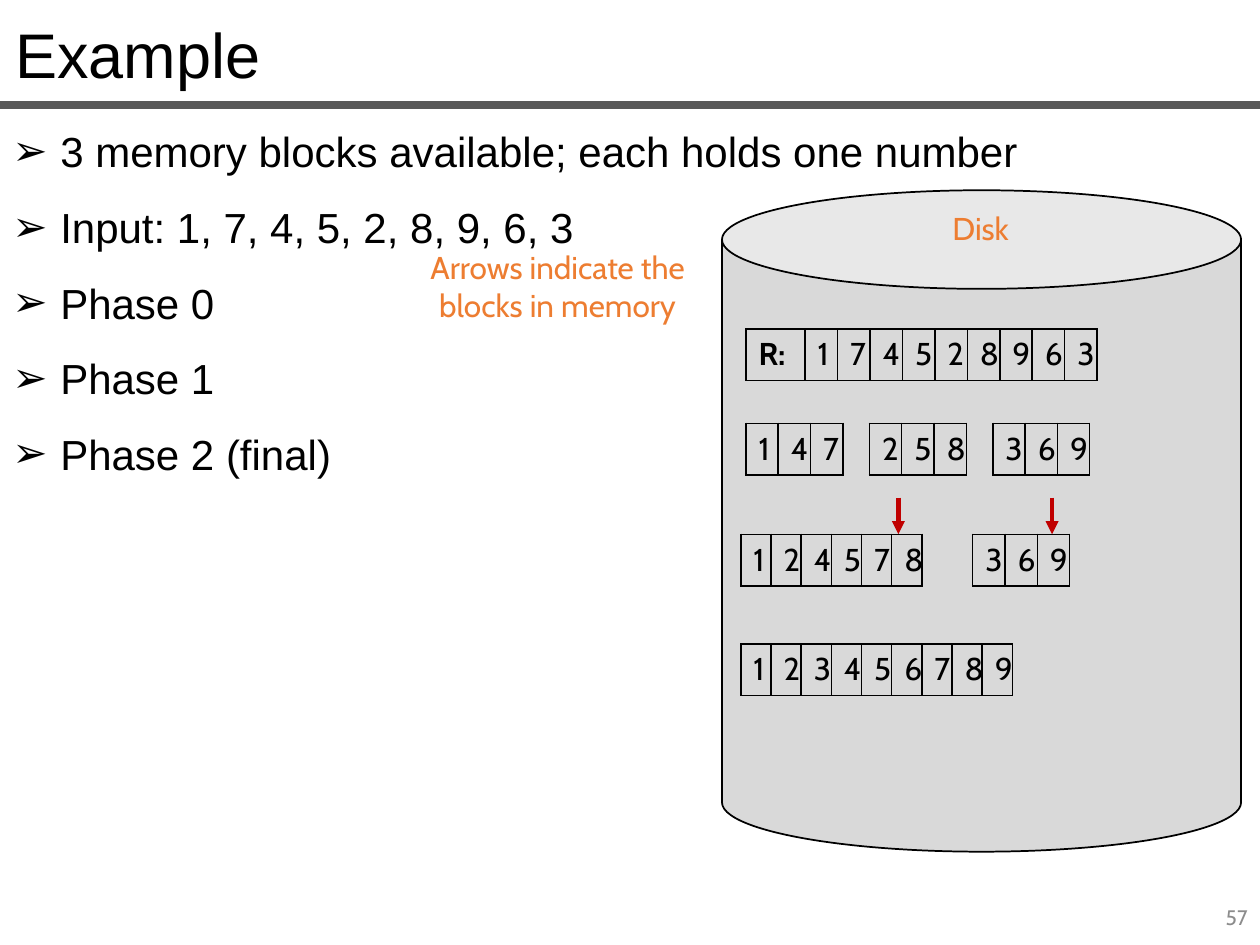
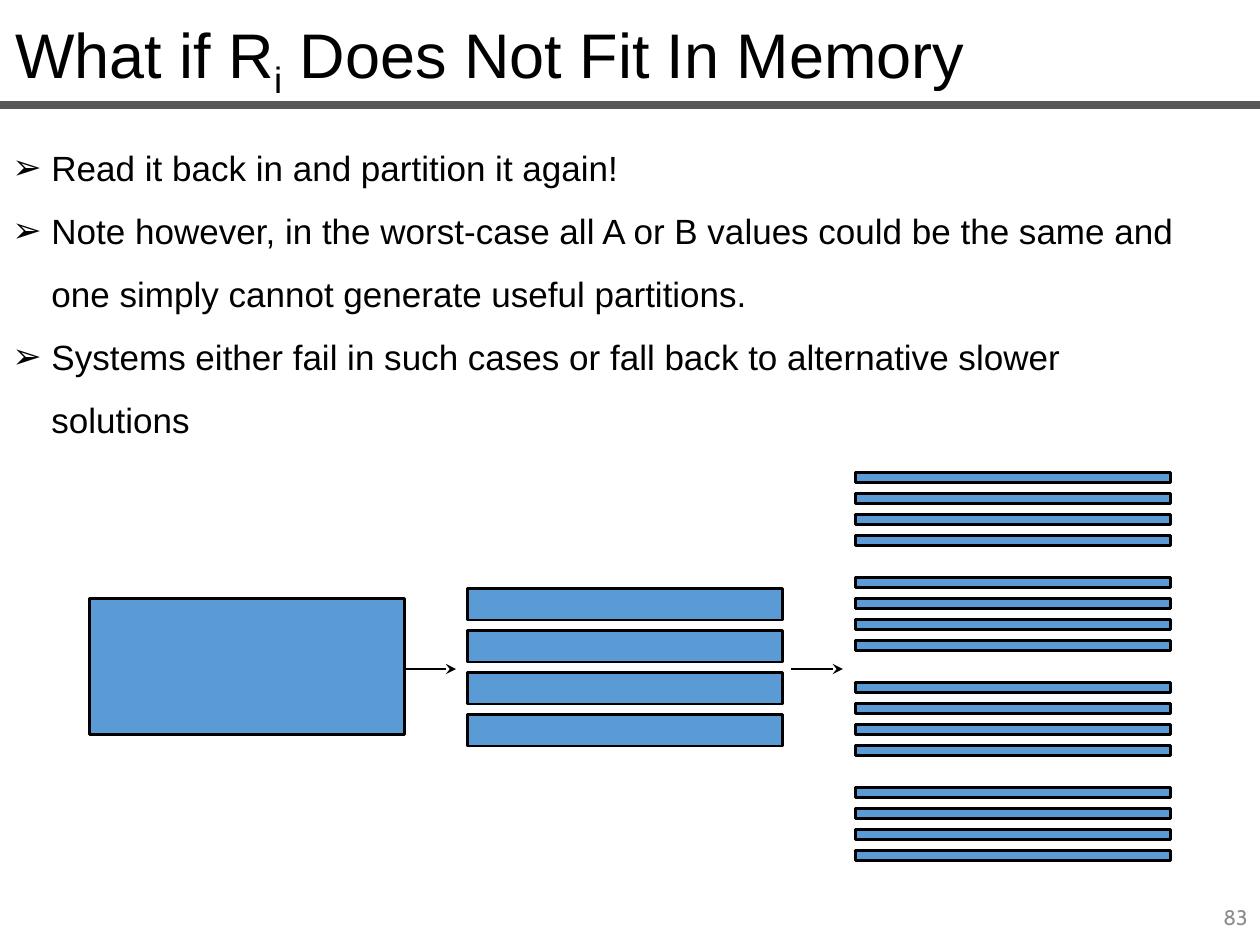
from dataclasses import dataclass
from itertools import product

from lxml.etree import SubElement
from pptx import Presentation
from pptx.dml.color import RGBColor
from pptx.enum.shapes import MSO_CONNECTOR, MSO_SHAPE
from pptx.enum.text import MSO_ANCHOR, MSO_AUTO_SIZE, PP_ALIGN
from pptx.oxml.ns import qn
from pptx.util import Inches, Pt


@dataclass(frozen=True)
class Theme:
    ink: str = "000000"
    rule: str = "595959"
    number: str = "8C8C8C"
    disk: str = "D9D9D9"
    accent: str = "ED7D31"
    pointer: str = "C00000"
    block: str = "5B9BD5"
    body_font: str = "Arial"
    label_font: str = "Cabin"
    title_size: int = 36
    label_size: int = 18
    number_size: int = 12


THEME = Theme()


# Shared formatting

def rgb(color):
    return RGBColor.from_string(color)


def style_runs(p, font, size, color, bold=False):
    for r in p.runs:
        r.font.name = font
        r.font.size = Pt(size)
        r.font.bold = bold
        r.font.color.rgb = rgb(color)


def add_text(slide, box, text, size, color, font=THEME.label_font,
             align=PP_ALIGN.LEFT, anchor=MSO_ANCHOR.TOP, wrap=True):
    sp = slide.shapes.add_textbox(*map(Inches, box))
    tf = sp.text_frame
    tf.word_wrap = wrap
    tf.vertical_anchor = anchor
    tf.text = text
    for p in tf.paragraphs:
        p.alignment = align
        style_runs(p, font, size, color)
    return tf


def add_line(shapes, start, end, color, width, head=None):
    line = shapes.add_connector(MSO_CONNECTOR.STRAIGHT, *map(Inches, start + end))
    line.line.color.rgb = rgb(color)
    line.line.width = Pt(width)
    if head:
        SubElement(line.line._get_or_add_ln(), qn("a:tailEnd"), type=head)
    SubElement(line._element.spPr, qn("a:effectLst"))


def add_shape(shapes, kind, box, fill, line_width):
    sp = shapes.add_shape(kind, *map(Inches, box))
    sp.shadow.inherit = False
    sp.fill.solid()
    sp.fill.fore_color.rgb = rgb(fill)
    sp.line.color.rgb = rgb(THEME.ink)
    sp.line.width = Pt(line_width)
    return sp


# Slide frame: title, rule below it and page number

def add_slide(prs, number, title, subscript="", title_end=""):
    slide = prs.slides.add_slide(prs.slide_layouts[5])
    sp = slide.shapes.title
    sp.left, sp.top, sp.width, sp.height = map(Inches, (0.02, 0.07, 9.89, 0.71))
    tf = sp.text_frame
    tf.auto_size = MSO_AUTO_SIZE.NONE
    tf.vertical_anchor = MSO_ANCHOR.TOP
    tf.text = title
    p = tf.paragraphs[0]
    p.alignment = PP_ALIGN.LEFT
    if subscript:
        r = p.add_run()
        r.text = subscript
        r.font._element.set("baseline", "-25000")
        p.add_run().text = title_end
    style_runs(p, THEME.body_font, THEME.title_size, THEME.ink)
    add_line(slide.shapes, (0, 0.83), (10, 0.83), THEME.rule, 4.5)
    add_text(slide, (7.75, 7.08, 2.25, 0.4), str(number), THEME.number_size,
             THEME.number, align=PP_ALIGN.RIGHT, anchor=MSO_ANCHOR.MIDDLE)
    return slide


def add_bullets(slide, box, items, size, indent):
    tf = add_text(slide, box, "\n".join(items), size, THEME.ink, THEME.body_font)
    for p in tf.paragraphs:
        p.line_spacing = 1.5
        pPr = p._p.get_or_add_pPr()
        pPr.set("marL", str(Inches(indent)))
        pPr.set("indent", str(-Inches(indent)))
        SubElement(pPr, qn("a:buFont"), typeface=THEME.body_font)
        SubElement(pPr, qn("a:buChar"), char="➢")


# One-row table of sorted or unsorted numbers

def add_cell_borders(cell):
    tcPr = cell._tc.get_or_add_tcPr()
    for side in ("lnL", "lnR", "lnT", "lnB"):
        ln = SubElement(tcPr, qn(f"a:{side}"), w=str(Pt(1)))
        fill = SubElement(ln, qn("a:solidFill"))
        SubElement(fill, qn("a:srgbClr"), val=THEME.ink)


def add_run_table(slide, left, top, digits, width, label=""):
    label_width = 0.47 if label else 0
    texts = ([label] if label else []) + list(digits)
    frame = slide.shapes.add_table(
        1, len(texts), *map(Inches, (left, top, label_width + width, 0.41)))
    table = frame.table
    table.first_row = table.horz_banding = False
    for i, text in enumerate(texts):
        is_label = bool(label) and i == 0
        table.columns[i].width = Inches(
            label_width if is_label else width / len(digits))
        cell = table.cell(0, i)
        cell.text = text
        style_runs(cell.text_frame.paragraphs[0], THEME.label_font,
                   THEME.label_size, THEME.ink, bold=is_label)
        add_cell_borders(cell)
        cell.fill.background()


def build_merge_sort_slide(prs):
    slide = add_slide(prs, 57, "Example")
    add_bullets(slide, (0, 0.75, 9.91, 3.06), [
        "3 memory blocks available; each holds one number",
        "Input: 1, 7, 4, 5, 2, 8, 9, 6, 3",
        "Phase 0",
        "Phase 1",
        "Phase 2 (final)",
    ], size=24, indent=0.38)

    # Disk and its labels
    disk = add_shape(slide.shapes, MSO_SHAPE.CAN, (5.73, 1.51, 4.12, 5.25),
                     THEME.disk, 1)
    disk.adjustments[0] = 0.19
    add_text(slide, (3.28, 1.92, 2.29, 0.71),
             "Arrows indicate the blocks in memory",
             THEME.label_size, THEME.accent, align=PP_ALIGN.CENTER)
    add_text(slide, (7.46, 1.61, 0.65, 0.4), "Disk",
             THEME.label_size, THEME.accent, wrap=False)

    # Input relation, then the runs after each phase
    add_run_table(slide, 5.92, 2.61, "174528963", 2.32, label="R:")
    for i, digits in enumerate(("147", "258", "369")):
        add_run_table(slide, 5.92 + 0.98 * i, 3.36, digits, 0.77)
    add_run_table(slide, 5.88, 4.24, "124578", 1.37)
    add_run_table(slide, 7.72, 4.24, "369", 0.77)
    add_run_table(slide, 5.88, 5.11, "123456789", 2.05)

    # Pointers to the blocks in memory
    for x in (7.13, 8.35):
        add_line(slide.shapes, (x, 3.95), (x, 4.24), THEME.pointer, 2.5, "triangle")


def build_partition_slide(prs):
    slide = add_slide(prs, 83, "What if R", "i", " Does Not Fit In Memory")
    add_bullets(slide, (0, 0.95, 9.68, 2.06), [
        "Read it back in and partition it again!",
        "Note however, in the worst-case all A or B values could be the same "
        "and one simply cannot generate useful partitions.",
        "Systems either fail in such cases or fall back to alternative slower "
        "solutions",
    ], size=20, indent=0.31)

    # Relation, its partitions, and the partitions of each partition
    shapes = slide.shapes.add_group_shape().shapes
    blocks = [(0.71, 4.75, 1.08)]
    blocks += [(3.71, 4.67 + i / 3, 0.25) for i in range(4)]
    blocks += [(6.79, 3.75 + part * 5 / 6 + i / 6, 0.08)
               for part, i in product(range(4), repeat=2)]
    for left, top, height in blocks:
        add_shape(shapes, MSO_SHAPE.RECTANGLE, (left, top, 2.5, height),
                  THEME.block, 1.5)
    for x in (3.21, 6.28):
        add_line(shapes, (x, 5.31), (x + 0.41, 5.31), THEME.ink, 1.5, "stealth")


def main():
    prs = Presentation()
    prs.slide_width, prs.slide_height = Inches(10), Inches(7.5)
    build_merge_sort_slide(prs)
    build_partition_slide(prs)
    prs.save("out.pptx")


if __name__ == "__main__":
    main()
